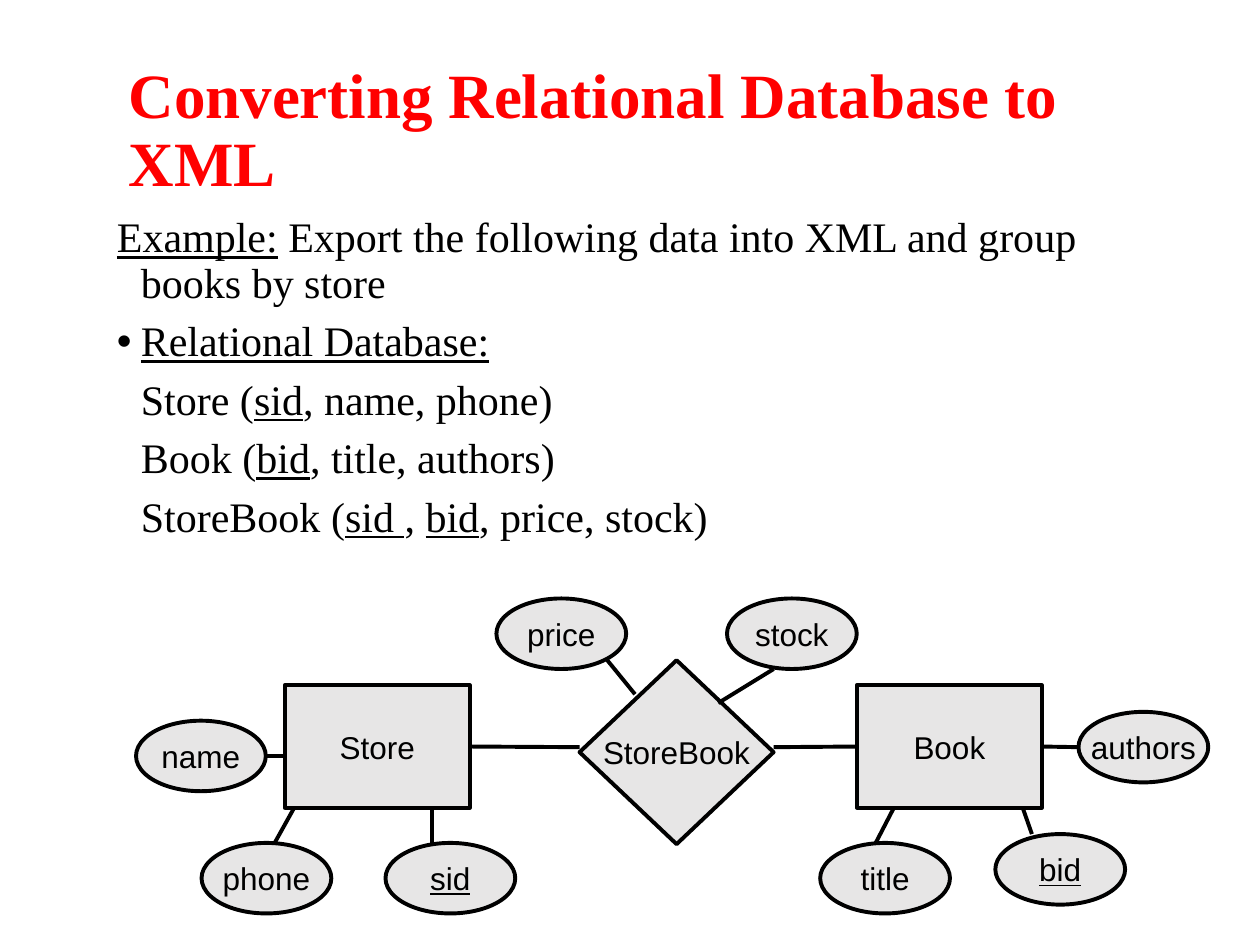
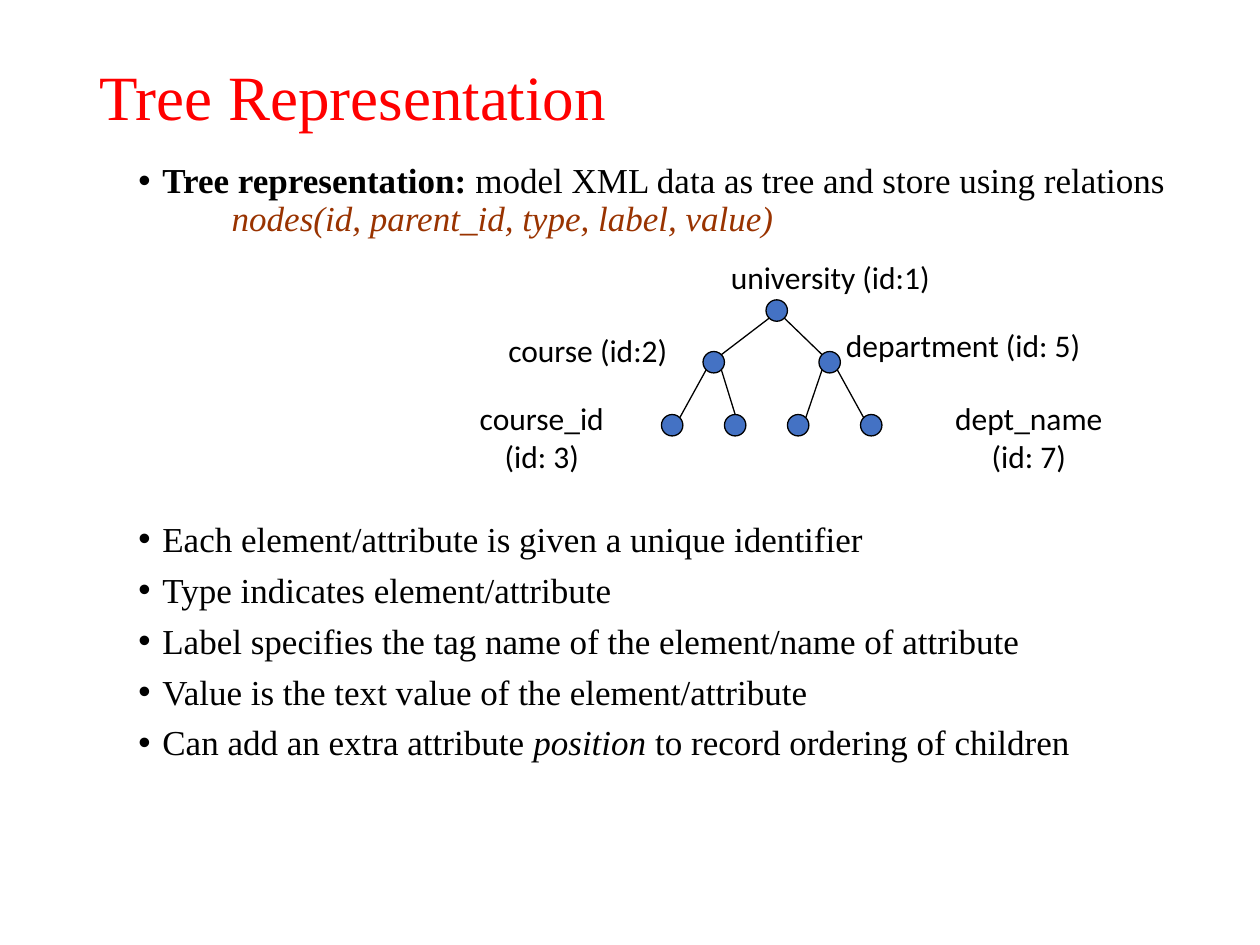
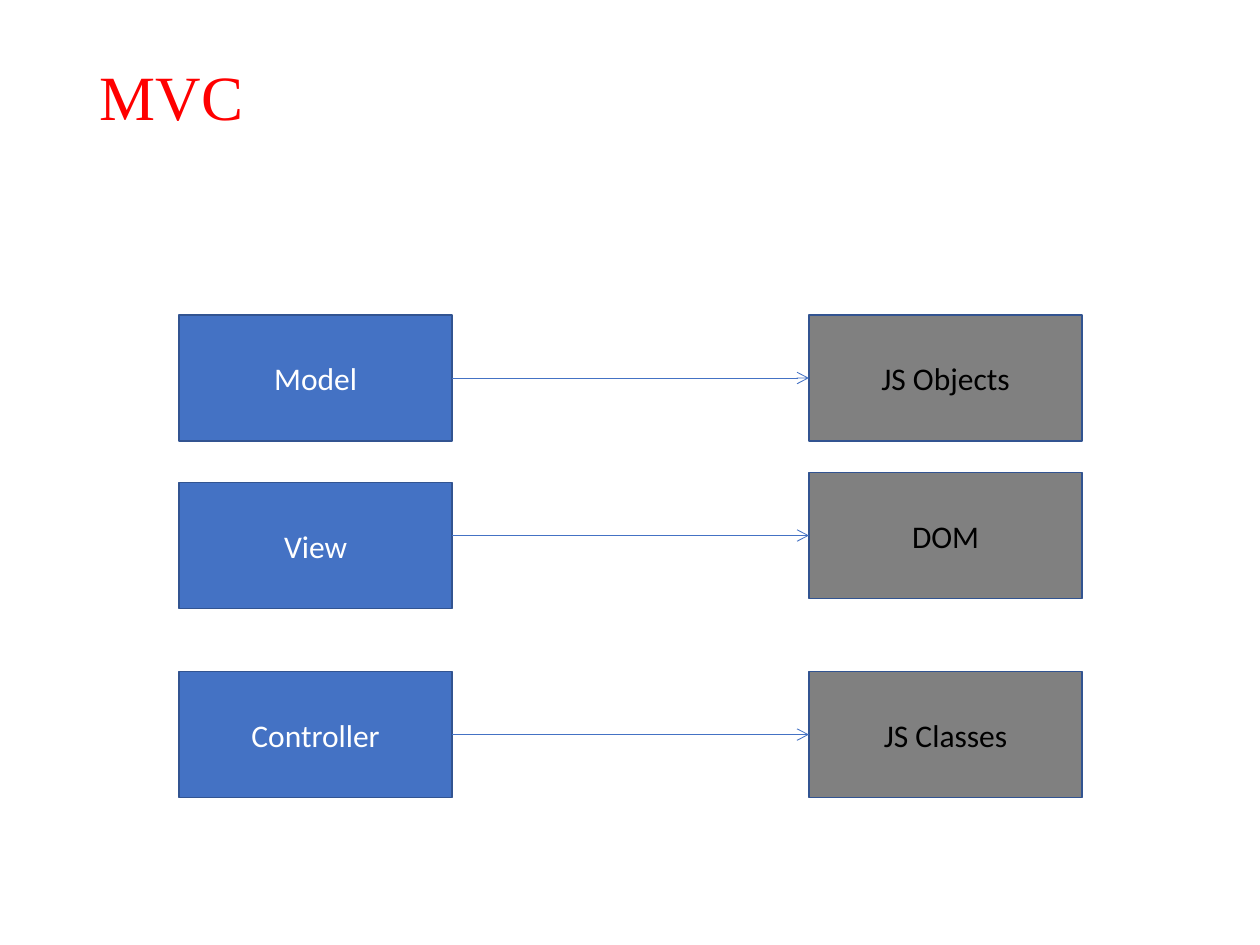
from lxml import etree
from pptx import Presentation
from pptx.dml.color import RGBColor
from pptx.enum.shapes import MSO_CONNECTOR, MSO_SHAPE
from pptx.enum.text import MSO_ANCHOR, MSO_AUTO_SIZE, PP_ALIGN
from pptx.oxml.ns import qn
from pptx.util import Inches, Pt

STRAIGHT = MSO_CONNECTOR.STRAIGHT
RECTANGLE, DIAMOND, OVAL = MSO_SHAPE.RECTANGLE, MSO_SHAPE.DIAMOND, MSO_SHAPE.OVAL
MIDDLE, TOP = MSO_ANCHOR.MIDDLE, MSO_ANCHOR.TOP
CENTER, LEFT = PP_ALIGN.CENTER, PP_ALIGN.LEFT
NO_FIT = MSO_AUTO_SIZE.NONE
RIGHT_SIDE, LEFT_SIDE = 3, 1

RED, BLACK, WHITE, BROWN = "FF0000", "000000", "FFFFFF", "993300"
BLUE, NAVY, GREY, PALE = "4472C4", "325491", "808080", "E7E6E6"
SERIF, SANS, LABEL_FONT = "Times New Roman", "Arial", "Calibri"
TITLE_AREA = (0.69, 0.34, 8.62, 0.91)

# kind: left margin, first-line indent, bullet, points before, colour
PARAGRAPH_KINDS = {
    "hanging": (0.19, -0.19, False, 7.5, BLACK),
    "bullet": (0.19, -0.19, True, 7.5, BLACK),
    "plain": (0.19, 0, False, 7.5, BLACK),
    "schema": (0.74, 0, False, 0, BROWN),
    "bullet below tree": (0.19, -0.19, True, 161.5, BLACK),
}

EXPORT_BODY = [
    ("hanging", [("Example:", "u"),
                 (" Export the following data into XML and group books by store", "")]),
    ("bullet", [("Relational Database:", "u")]),
    ("plain", [("Store (", ""), ("sid", "u"), (", name, phone)", "")]),
    ("plain", [("Book (", ""), ("bid", "u"), (", title, authors)", "")]),
    ("plain", [("StoreBook (", ""), ("sid ", "u"), (", ", ""), ("bid", "u"),
               (", price, stock)", "")]),
]
ENTITIES = {
    "Store": (RECTANGLE, 2.26, 5.44, 1.47, 0.97),
    "Book": (RECTANGLE, 6.8, 5.44, 1.47, 0.97),
    "StoreBook": (DIAMOND, 4.6, 5.24, 1.54, 1.46),
}
ATTRIBUTE_SIZE = (1.03, 0.56)
ATTRIBUTES = {
    "phone": (1.6, 6.69), "authors": (8.56, 5.65), "bid": (7.9, 6.62),
    "title": (6.51, 6.69), "sid": (3.06, 6.69), "name": (1.08, 5.72),
    "price": (3.94, 4.75), "stock": (5.77, 4.75),
}
KEYS = ("sid", "bid")
RELATION_LINES = [
    (("Store", RIGHT_SIDE), (4.6, 5.93)),
    ((6.14, 5.93), ("Book", LEFT_SIDE)),
    (("Book", RIGHT_SIDE), (8.56, 5.93)),
    ((2.33, 6.42), (2.18, 6.69)),
    ((3.43, 6.42), (3.43, 6.69)),
    ((7.09, 6.42), (6.95, 6.69)),
    ((8.12, 6.42), (8.19, 6.62)),
    ((2.11, 6), (2.26, 6)),
    ((4.82, 5.24), (5.04, 5.51)),
    ((6.14, 5.31), (5.7, 5.58)),
]

TREE_BODY = [
    ("bullet", [("Tree representation: ", "b"),
                ("model XML data as tree and store using relations", "")]),
    ("schema", [("nodes(id, parent_id, type, label, value)", "i")]),
    ("bullet below tree", [("Each element/attribute is given a unique identifier", "")]),
    ("bullet", [("Type indicates element/attribute", "")]),
    ("bullet", [("Label specifies the tag name of the element/name of attribute", "")]),
    ("bullet", [("Value is the text value of the element/attribute", "")]),
    ("bullet", [("Can add an extra attribute ", ""), ("position", "i"),
                (" to record ordering of children", "")]),
]
NODE_SIZE = 0.17
NODES = {
    "university": (6.08, 2.38), "course": (5.58, 2.79), "department": (6.5, 2.79),
    "course_id": (5.25, 3.29), "course child": (5.75, 3.29),
    "department child": (6.25, 3.29), "dept_name": (6.83, 3.29),
}
# parent, child, side of the parent, side of the child (-1 left, 0 middle, 1 right)
BRANCHES = [
    ("university", "course", -1, 1), ("university", "department", 1, -1),
    ("course", "course_id", -1, 1), ("course", "course child", 1, 0),
    ("department", "department child", -1, 1), ("department", "dept_name", 1, -1),
]
NODE_LABELS = [
    ("university (id:1)", (5.64, 2, 1.9, 0.4)),
    ("course (id:2)", (3.87, 2.58, 1.59, 0.4)),
    ("department (id: 5)", (6.56, 2.54, 2.17, 0.4)),
    ("course_id\n(id: 3)", (3.66, 3.12, 1.28, 0.7)),
    ("dept_name\n(id: 7)", (7.44, 3.12, 1.45, 0.7)),
]

ROLE_SIZE = (2.17, 1)
ROLE_LEFT, PART_LEFT = 1.42, 6.42
ROLES = [("Model", 2.5, "JS Objects", 2.5), ("View", 3.83, "DOM", 3.75),
         ("Controller", 5.33, "JS Classes", 5.33)]


def color(value):
    return RGBColor.from_string(value)


def inches(values):
    return [Inches(value) for value in values]


def set_font(font, name, size, ink):
    font.name, font.size = name, Pt(size)
    font.color.rgb = color(ink)


def add_page(deck, title, area=TITLE_AREA, bold=False):
    page = deck.slides.add_slide(deck.slide_layouts[5])
    box = page.shapes.title
    box.left, box.top, box.width, box.height = inches(area)
    frame = box.text_frame
    frame.text = title
    frame.auto_size, frame.vertical_anchor = NO_FIT, MIDDLE
    para = frame.paragraphs[0]
    para.alignment, para.line_spacing = LEFT, 0.9
    set_font(para.font, SERIF, 36, RED)
    para.font.bold = bold
    return page


def add_body(page, area, content, size):
    frame = page.shapes.add_textbox(*inches(area)).text_frame
    frame.word_wrap = True
    for index, (kind, runs) in enumerate(content):
        margin, indent, bullet, before, ink = PARAGRAPH_KINDS[kind]
        para = frame.add_paragraph() if index else frame.paragraphs[0]
        para.line_spacing, para.space_before = 0.9, Pt(before)
        properties = para._p.get_or_add_pPr()
        properties.set("marL", str(Inches(margin)))
        properties.set("indent", str(Inches(indent)))
        if bullet:
            etree.SubElement(properties, qn("a:buFont")).set("typeface", SANS)
            etree.SubElement(properties, qn("a:buChar")).set("char", "•")
        set_font(para.font, SERIF, size, ink)
        for text, style in runs:
            span = para.add_run()
            span.text = text
            if "b" in style:
                span.font.bold = True
            if "i" in style:
                span.font.italic = True
            if "u" in style:
                span.font.underline = True


def write_label(box, text, font, ink, anchor=MIDDLE, wrap=False, underline=False):
    frame = box.text_frame
    frame.text = text
    frame.word_wrap, frame.vertical_anchor = wrap, anchor
    for para in frame.paragraphs:
        para.alignment = CENTER
        set_font(para.font, font, 18, ink)
        para.font.underline = underline


def add_box(page, kind, area, fill, outline, width):
    box = page.shapes.add_shape(kind, *inches(area))
    box.shadow.inherit = False
    box.fill.solid()
    box.fill.fore_color.rgb = color(fill)
    box.line.color.rgb = color(outline)
    box.line.width = Pt(width)
    return box


def add_line(page, start, end, ink, width, boxes=None, arrow=False):
    joined = [isinstance(point[0], str) for point in (start, end)]
    begin_at = (0, 0) if joined[0] else start
    end_at = (0, 0) if joined[1] else end
    line = page.shapes.add_connector(STRAIGHT, *inches(begin_at + end_at))
    if joined[0]:
        line.begin_connect(boxes[start[0]], start[1])
    if joined[1]:
        line.end_connect(boxes[end[0]], end[1])
    line.line.color.rgb = color(ink)
    line.line.width = Pt(width)
    if arrow:
        etree.SubElement(line.line._get_or_add_ln(), qn("a:tailEnd")).set("type", "arrow")
    etree.SubElement(line._element.spPr, qn("a:effectLst"))


def node_point(name, side, direction):
    left, top = NODES[name]
    radius = NODE_SIZE / 2
    across = 0.71 * radius * side
    down = (0.71 if side else 1) * radius * direction
    return left + radius + across, top + radius + down


def build_export(deck):
    page = add_page(deck, "Converting Relational Database to XML",
                    (0.92, 0.42, 8.83, 1.25), bold=True)
    add_body(page, (0.83, 1.67, 8.67, 2.94), EXPORT_BODY, 24)
    items = dict(ENTITIES)
    for name, place in ATTRIBUTES.items():
        items[name] = (OVAL, *place, *ATTRIBUTE_SIZE)
    boxes = {}
    for name, (kind, *area) in items.items():
        boxes[name] = add_box(page, kind, area, PALE, BLACK, 2.25)
        write_label(boxes[name], name, SANS, BLACK, underline=name in KEYS)
    for start, end in RELATION_LINES:
        add_line(page, start, end, BLACK, 2.25, boxes)


def build_tree(deck):
    page = add_page(deck, "Tree Representation")
    add_body(page, (1, 1.25, 8.79, 5.78), TREE_BODY, 20)
    for place in NODES.values():
        add_box(page, OVAL, (*place, NODE_SIZE, NODE_SIZE), BLUE, BLACK, 0.75)
    for parent, child, parent_side, child_side in BRANCHES:
        add_line(page, node_point(parent, parent_side, 1),
                 node_point(child, child_side, -1), BLACK, 0.75)
    for text, area in NODE_LABELS:
        box = page.shapes.add_textbox(*inches(area))
        write_label(box, text, LABEL_FONT, BLACK, anchor=TOP)


def build_mvc(deck):
    page = add_page(deck, "MVC")
    boxes = {}
    for role, role_top, part, part_top in ROLES:
        for name, left, top, fill, ink in ((role, ROLE_LEFT, role_top, BLUE, WHITE),
                                           (part, PART_LEFT, part_top, GREY, BLACK)):
            boxes[name] = add_box(page, RECTANGLE, (left, top, *ROLE_SIZE), fill, NAVY, 1)
            write_label(boxes[name], name, LABEL_FONT, ink, wrap=True)
        level = role_top == part_top
        start = (role, RIGHT_SIDE) if level else (
            ROLE_LEFT + ROLE_SIZE[0], part_top + ROLE_SIZE[1] / 2)
        add_line(page, start, (part, LEFT_SIDE), BLUE, 0.5, boxes, arrow=True)


def main():
    deck = Presentation()
    deck.slide_width, deck.slide_height = Inches(10), Inches(7.5)
    build_export(deck)
    build_tree(deck)
    build_mvc(deck)
    deck.save("out.pptx")


if __name__ == "__main__":
    main()
